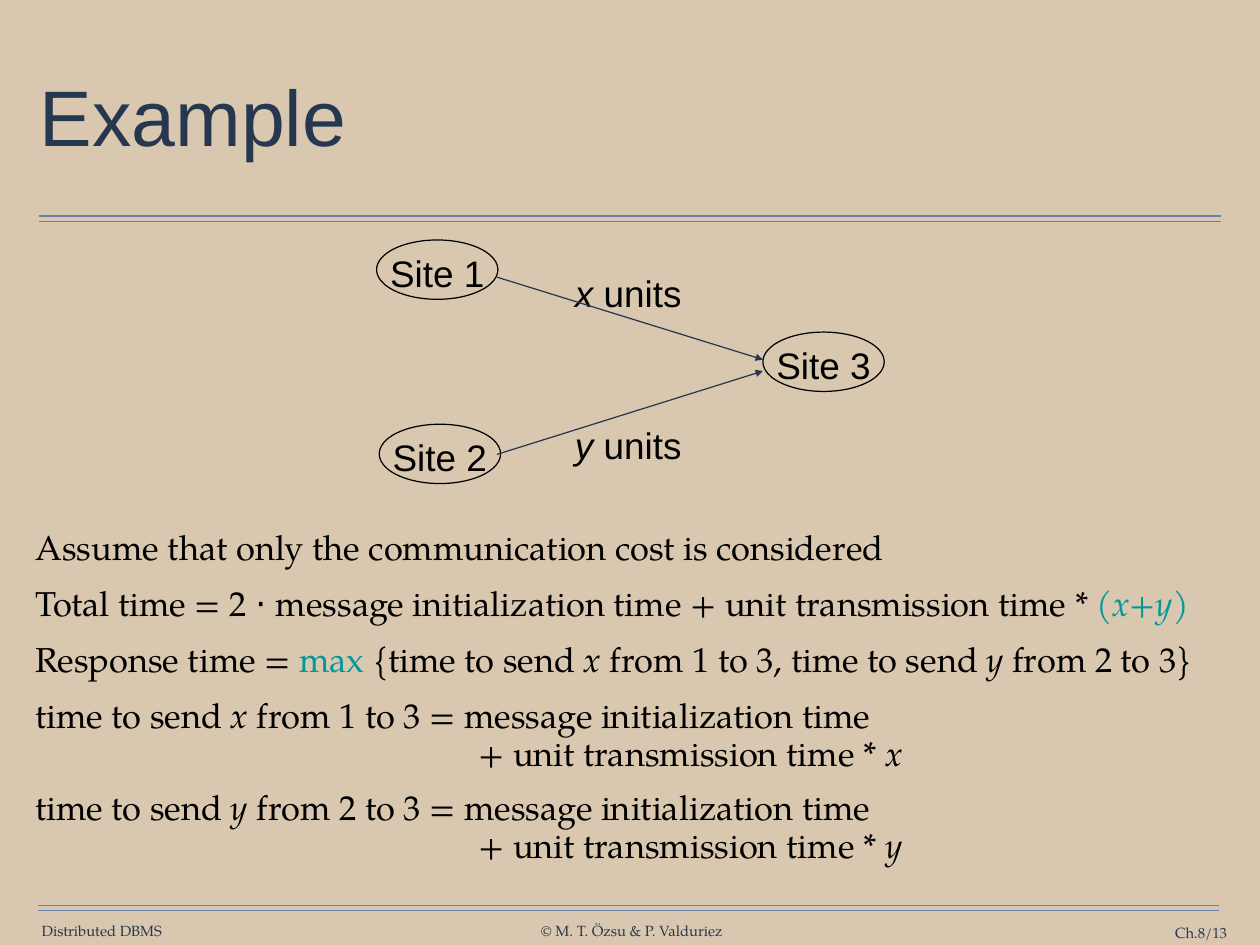
from dataclasses import dataclass

from lxml.etree import SubElement
from pptx import Presentation
from pptx.dml.color import RGBColor
from pptx.enum.shapes import MSO_CONNECTOR as Connector, MSO_SHAPE as Shape
from pptx.enum.text import MSO_ANCHOR as Anchor, PP_ALIGN as Align
from pptx.oxml.ns import qn
from pptx.util import Inches, Pt


@dataclass(frozen=True)
class Theme:
    ground: str = "D9C8AF"
    rule: str = "6682AA"
    navy: str = "263750"
    ink: str = "000000"
    accent: str = "009999"
    sans: str = "Arial"
    serif: str = "TeX Gyre Pagella"
    title_size: int = 64
    label_size: int = 30
    body_size: int = 28
    footer_size: int = 12
    line_width: int = 1


THEME = Theme()


def cells(count):
    """Length of a number of grid cells, a tenth of an inch each."""
    return Inches(count / 10)


@dataclass(frozen=True)
class Box:
    """An area of the page, in grid cells."""
    left: float
    top: float
    width: float
    height: float

    def inner(self, left, top, width, height):
        return Box(self.left + left, self.top + top, width, height)

    def point(self, x, y):
        return self.left + x, self.top + y

    def lengths(self):
        return [cells(n) for n in (self.left, self.top, self.width, self.height)]


# Shared parts

def add_span(para, text, size, font, color, italic=False):
    span = para.add_run()
    span.text = text
    span.font.size = Pt(size)
    span.font.name = font
    span.font.italic = italic
    span.font.color.rgb = RGBColor.from_string(color)


def set_frame(frame, inset=0, anchor=Anchor.MIDDLE, wrap=True):
    frame.word_wrap = wrap
    frame.vertical_anchor = anchor
    frame.margin_left = frame.margin_right = cells(inset)
    frame.margin_top = frame.margin_bottom = cells(inset)


def add_text(page, box, align=Align.LEFT, **frame_style):
    """Add a text box and return its first paragraph."""
    frame = page.shapes.add_textbox(*box.lengths()).text_frame
    set_frame(frame, **frame_style)
    frame.paragraphs[0].alignment = align
    return frame.paragraphs[0]


def add_line(page, start, end, color, arrow=False):
    ends = [cells(n) for n in (*start, *end)]
    line = page.shapes.add_connector(Connector.STRAIGHT, *ends)
    line.line.color.rgb = RGBColor.from_string(color)
    line.line.width = Pt(THEME.line_width)
    if arrow:
        SubElement(line.line._get_or_add_ln(), qn("a:tailEnd"), type="triangle")
    SubElement(line._element.spPr, qn("a:effectLst"))


def add_double_rule(page, box):
    for y in (0, 0.6):
        add_line(page, box.point(0, y), box.point(box.width, y), THEME.rule)


# Regions

def add_header(page, box, title):
    para = add_text(page, box.inner(0, 0, box.width, 17.6), inset=0.6)
    para.line_spacing = 0.9
    add_span(para, title, THEME.title_size, THEME.sans, THEME.navy)
    add_double_rule(page, box.inner(0.5, 19.5, 133.4, 0.6))


def add_diagram(page, box):
    # Sites
    for name, left, top in (("Site 1", 0, 0), ("Site 2", 0.3, 20.8),
                            ("Site 3", 43.6, 10.4)):
        site = page.shapes.add_shape(
            Shape.OVAL, *box.inner(left, top, 13.7, 6.7).lengths())
        site.shadow.inherit = False
        site.fill.background()
        site.line.color.rgb = RGBColor.from_string(THEME.ink)
        site.line.width = Pt(THEME.line_width)
        set_frame(site.text_frame, wrap=False)
        site.text_frame.margin_top = cells(0.6)
        para = site.text_frame.paragraphs[0]
        para.alignment = Align.CENTER
        add_span(para, name, THEME.label_size, THEME.sans, THEME.ink)

    # Transfers to site 3
    for amount, label_top, start_y, end_y in (("x", 2.8, 4.2, 13.5),
                                              ("y", 19.9, 24.2, 14.8)):
        para = add_text(page, box.inner(20.8, label_top, 15.2, 6.4),
                        Align.CENTER, wrap=False)
        add_span(para, amount, THEME.label_size, THEME.sans, THEME.ink, True)
        add_span(para, " units", THEME.label_size, THEME.sans, THEME.ink)
        add_line(page, box.point(13.6, start_y), box.point(43.6, end_y),
                 THEME.navy, arrow=True)


def add_body(page, box, paragraphs):
    """Each paragraph is a list of (text, style) pairs; a leading "+" continues."""
    styles = {
        "plain": (THEME.serif, THEME.ink),
        "variable": (THEME.serif, THEME.ink, True),
        "symbol": (THEME.sans, THEME.ink),
        "accent": (THEME.serif, THEME.accent),
        "accent variable": (THEME.serif, THEME.accent, True),
    }
    para = add_text(page, box, inset=0.6, anchor=Anchor.TOP)
    frame = page.shapes[-1].text_frame
    for index, spans in enumerate(paragraphs):
        if index:
            para = frame.add_paragraph()
        para.space_before = Pt(12)
        if spans[0][0].startswith("+"):
            para.line_spacing = 0.5
            para._p.get_or_add_pPr().set("marL", str(cells(50)))
        for text, style in spans:
            add_span(para, text, THEME.body_size, *styles[style])


def add_footer(page, box, notes):
    add_double_rule(page, box)
    slots = ((0.4, 1.9, 13.8, Align.LEFT), (56.6, 1.9, 20.8, Align.CENTER),
             (118.8, 2.1, 15.4, Align.RIGHT))
    for note, (left, top, width, align) in zip(notes, slots):
        para = add_text(page, box.inner(left, top, width, 2), align, wrap=False)
        add_span(para, note, THEME.footer_size, THEME.serif, THEME.navy)


def send_time(amount, site):
    """The two lines that give the time to send one amount to site 3."""
    return [
        [("time to send ", "plain"), (amount, "variable"),
         (f" from {site} to 3 = message initialization time", "plain")],
        [("+ unit transmission time * ", "plain"), (amount, "variable")],
    ]


def main():
    deck = Presentation()
    deck.slide_width, deck.slide_height = cells(142.2), cells(106.7)
    page = deck.slides.add_slide(deck.slide_layouts[6])
    page.background.fill.solid()
    page.background.fill.fore_color.rgb = RGBColor.from_string(THEME.ground)

    add_header(page, Box(3.9, 4.9, 134.4, 20.1), "Example")
    add_diagram(page, Box(42.5, 27.1, 57.3, 27.5))
    add_body(page, Box(3.4, 58.8, 134.4, 41.7), [
        [("Assume that only the communication cost is considered", "plain")],
        [("Total time = 2 ", "plain"), ("⋅ ", "symbol"),
         ("message initialization time + unit transmission time * ", "plain"),
         ("(", "accent"), ("x+y", "accent variable"), (")", "accent")],
        [("Response time = ", "plain"), ("max", "accent"),
         (" {time to send ", "plain"), ("x", "variable"),
         (" from 1 to 3, time to send ", "plain"), ("y", "variable"),
         (" from 2 to 3}", "plain")],
        *send_time("x", 1),
        *send_time("y", 2),
    ])
    add_footer(page, Box(4.3, 102.2, 133.3, 4.3),
               ("Distributed DBMS", "© M. T. Özsu & P. Valduriez", "Ch.8/13"))
    deck.save("out.pptx")


if __name__ == "__main__":
    main()
